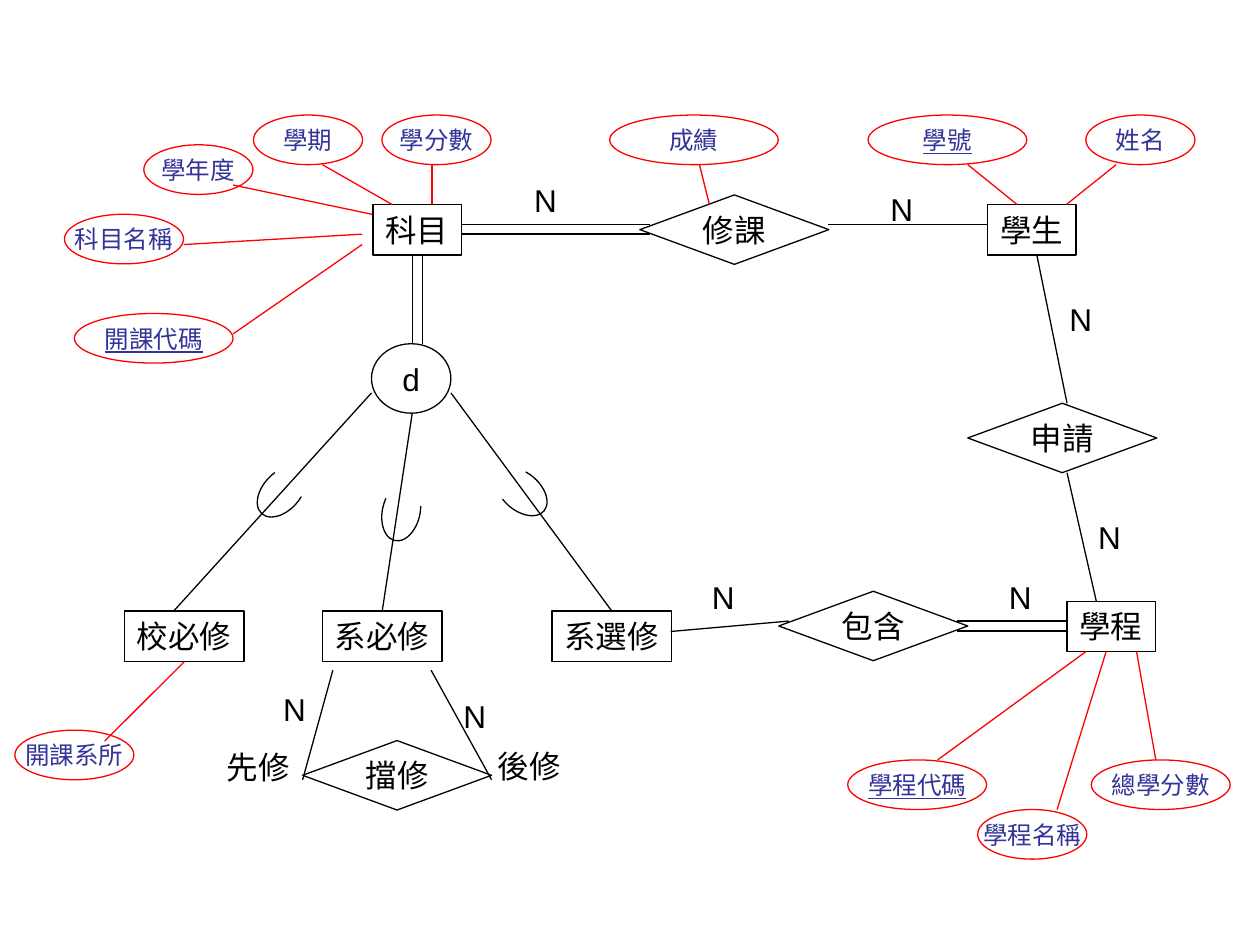
from pptx import Presentation
from pptx.dml.color import RGBColor
from pptx.enum.shapes import MSO_CONNECTOR as Link, MSO_SHAPE as Shape
from pptx.enum.text import MSO_ANCHOR as Anchor, MSO_AUTO_SIZE as Fit, PP_ALIGN as Align
from pptx.oxml.ns import qn
from pptx.util import Cm, Pt
from lxml import etree


def rgb(value):
    return RGBColor.from_string(value)


class Diagram:
    font = "Arial"
    ink = "000000"
    attribute_line = "FF0000"
    attribute_text = "333399"
    weight = Pt(0.75)

    def __init__(self, slide):
        self.shapes = slide.shapes

    def stroke(self, line, color):
        line.color.rgb = rgb(color)
        line.width = self.weight

    def set_text(self, sp, text, size, color, align=Align.LEFT, anchor=Anchor.TOP):
        tf = sp.text_frame
        tf.word_wrap = False
        tf.vertical_anchor = anchor
        p = tf.paragraphs[0]
        p.text = text
        p.alignment = align
        p.font.name = self.font
        p.font.size = Pt(size)
        p.font.color.rgb = rgb(color)
        return p

    def outline(self, kind, x, y, w, h, color):
        sp = self.shapes.add_shape(kind, Cm(x), Cm(y), Cm(w), Cm(h))
        sp.shadow.inherit = False
        sp.fill.background()
        self.stroke(sp.line, color)
        return sp

    def entity(self, text, x, y, w):
        sp = self.outline(Shape.RECTANGLE, x, y, w, 1.02, self.ink)
        self.set_text(sp, text, 18, self.ink)
        sp.text_frame.auto_size = Fit.SHAPE_TO_FIT_TEXT
        return sp

    def node(self, kind, text, x, y, w=3.81):
        sp = self.outline(kind, x, y, w, 1.4, self.ink)
        self.set_text(sp, text, 18, self.ink, Align.CENTER, Anchor.MIDDLE)

    def attribute(self, text, x, y, w, key=False):
        sp = self.outline(Shape.OVAL, x, y, w, 1, self.attribute_line)
        p = self.set_text(sp, text, 14, self.attribute_text, Align.CENTER, Anchor.MIDDLE)
        if key:
            p.font.underline = True

    def label(self, text, x, y, w=0.97):
        sp = self.shapes.add_textbox(Cm(x), Cm(y), Cm(w), Cm(1.02))
        self.set_text(sp, text, 18, self.ink)
        sp.text_frame.auto_size = Fit.SHAPE_TO_FIT_TEXT

    def subset_arc(self, x, y, rotation):
        sp = self.outline(Shape.ARC, x, y, 1.2, 0.76, self.ink)
        for i, degrees in enumerate((62, 298)):
            sp.adjustments[i] = degrees * 0.6
        sp.rotation = rotation

    def line(self, x1, y1, x2, y2, color=ink):
        c = self.shapes.add_connector(Link.STRAIGHT, Cm(x1), Cm(y1), Cm(x2), Cm(y2))
        self.stroke(c.line, color)
        etree.SubElement(c._element.spPr, qn("a:effectLst"))
        return c

    def joined(self, sp, site, x, y, color=ink):
        self.line(x, y, x, y, color).begin_connect(sp, site)

    def double(self, x1, y1, x2, y2):
        gap = 0.2
        dx, dy = (gap, 0) if x1 == x2 else (0, gap)
        self.line(x1, y1, x2, y2)
        self.line(x1 + dx, y1 + dy, x2 + dx, y2 + dy)


ENTITIES = [
    ("學生", 19.91, 4.12, 1.78), ("科目", 7.52, 4.12, 1.78), ("學程", 21.51, 12.12, 1.78),
    ("校必修", 2.51, 12.32, 2.41), ("系必修", 6.5, 12.32, 2.41), ("系選修", 11.13, 12.32, 2.41),
]
RELATIONSHIPS = [
    ("修課", 12.9, 3.93), ("申請", 19.51, 8.13), ("包含", 15.7, 11.92), ("擋修", 6.1, 14.93),
]
ATTRIBUTES = [
    ("學期", 5.11, 2.32, 2.2), ("學分數", 7.7, 2.32, 2.2), ("成績", 12.29, 2.32, 3.4),
    ("學號", 17.5, 2.32, 3.2, True), ("姓名", 21.89, 2.32, 2.2), ("學年度", 2.9, 2.92, 2.2),
    ("科目名稱", 1.3, 4.32, 2.4), ("開課代碼", 1.5, 6.32, 3.2, True),
    ("開課系所", 0.3, 14.72, 2.4), ("學程代碼", 17.09, 15.32, 2.8, True),
    ("總學分數", 22, 15.32, 2.8), ("學程名稱", 19.71, 16.32, 2.2),
]
CARDINALITIES = [
    (10.52, 3.53), (17.7, 3.71), (21.31, 5.92), (21.89, 10.31),
    (14.1, 11.53), (20.09, 11.53), (5.46, 13.79), (9.09, 13.92),
]
ROLES = [("先修", 4.32, 14.96), ("後修", 9.78, 14.94)]
ATTRIBUTE_LINES = [
    (6.5, 3.32, 7.9, 4.12), (8.71, 3.32, 8.71, 4.12), (4.7, 3.73, 7.5, 4.32),
    (3.7, 4.93, 7.3, 4.72), (7.3, 4.93, 4.7, 6.73), (14.3, 4.12, 14.1, 3.32),
    (19.51, 3.32, 20.5, 4.12), (22.5, 3.32, 21.5, 4.12), (18.9, 15.32, 21.9, 13.13),
    (22.3, 13.13, 21.31, 16.32), (22.91, 13.13, 23.3, 15.32),
]
LINES = [
    (16.69, 4.52, 19.91, 4.52), (20.9, 5.13, 21.51, 8.13), (21.51, 9.53, 22.1, 12.12),
    (3.5, 12.32, 7.49, 7.92), (6.71, 13.51, 6.1, 15.72), (8.69, 13.51, 9.91, 15.72),
    (13.52, 12.73, 15.9, 12.52),
]
DOUBLE_LINES = [
    (8.31, 5.13, 8.31, 6.93), (9.3, 4.52, 13.11, 4.52), (19.3, 12.52, 21.51, 12.52),
]
ARCS = [(5.08, 9.53, 312.3), (7.49, 9.93, 282.6), (9.91, 9.53, 220.5)]


def main():
    prs = Presentation()
    prs.slide_width, prs.slide_height = Cm(25.4), Cm(19.05)
    d = Diagram(prs.slides.add_slide(prs.slide_layouts[6]))

    boxes = {item[0]: d.entity(*item) for item in ENTITIES}
    for item in RELATIONSHIPS:
        d.node(Shape.DIAMOND, *item)
    d.node(Shape.OVAL, "d", 7.49, 6.93, 1.6)
    for item in ATTRIBUTES:
        d.attribute(*item)
    for x, y in CARDINALITIES:
        d.label("N", x, y)
    for item in ROLES:
        d.label(*item, 1.78)
    for ends in ATTRIBUTE_LINES:
        d.line(*ends, d.attribute_line)
    for ends in LINES:
        d.line(*ends)
    for ends in DOUBLE_LINES:
        d.double(*ends)
    d.joined(boxes["校必修"], 2, 2.11, 14.94, d.attribute_line)
    d.joined(boxes["系必修"], 0, 8.31, 8.33)
    d.joined(boxes["系選修"], 0, 9.09, 7.92)
    for arc in ARCS:
        d.subset_arc(*arc)

    prs.save("out.pptx")


if __name__ == "__main__":
    main()
